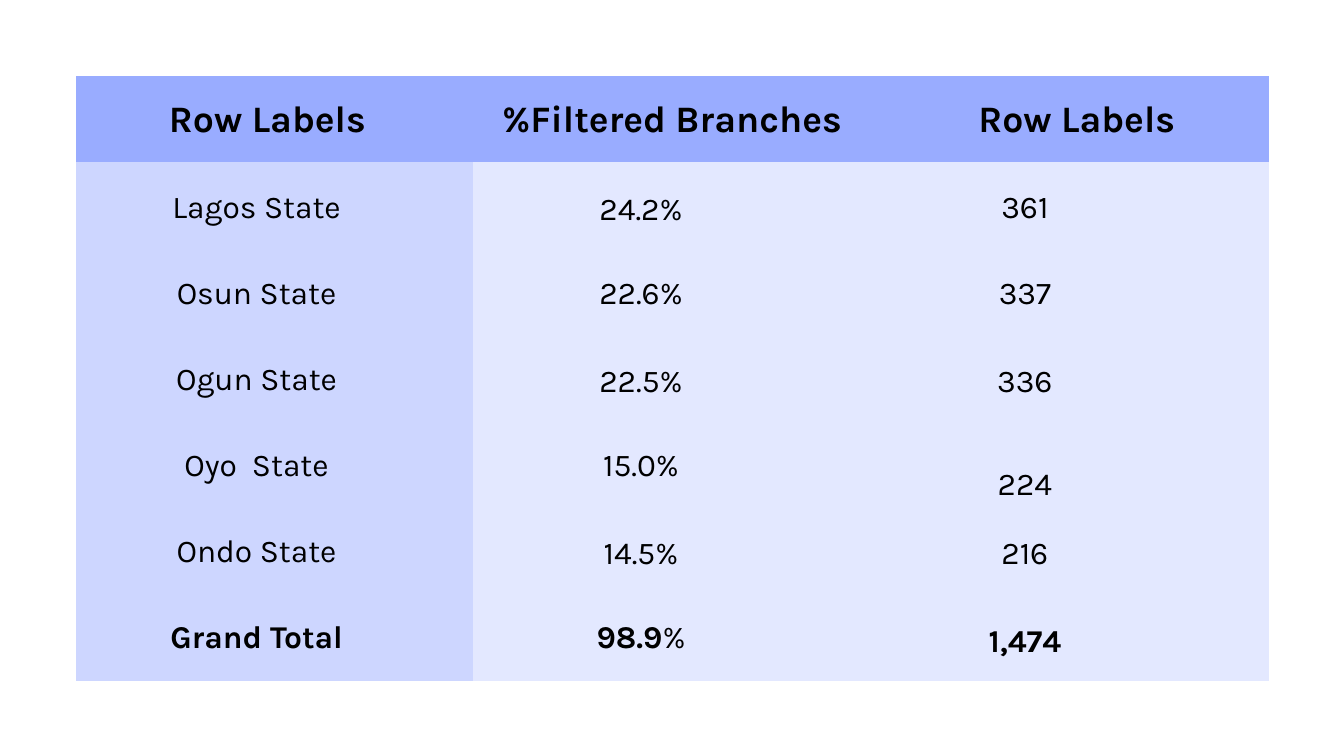
import pptx
import pptx.dml.color
import pptx.enum.text
import pptx.oxml
import pptx.oxml.ns
import pptx.util
from pptx.util import Cm

FONT = "Karla"
HEADER_FILL, LABEL_FILL, VALUE_FILL = "99ACFF", "CDD6FF", "E3E8FF"
TABLE_LEFT = TABLE_TOP = 2.86
COLUMN_WIDTH, ROW_HEIGHT = 15.03, 3.27
HEADER_TOP, HEADER_HEIGHT = 3.3, 1.88
BODY_TOP, BODY_STEP, BODY_WIDTH, BODY_HEIGHT = 6.83, 3.25, 12.4, 1.6

# Text, left and width in cm
HEADERS = [
    ("Row Labels", 3.5, 13.21),
    ("%Filtered Branches", 17.32, 16.15),
    ("Row Labels", 34.09, 13.21),
]
# Left in cm, texts, and how far each text sits below its row line in cm
BODY_COLUMNS = [
    (3.5, ["Lagos State", "Osun State", "Ogun State", "Oyo  State", "Ondo State", "Grand Total"],
     [0, 0, 0, 0, 0, 0]),
    (18.03, ["24.2%", "22.6%", "22.5%", "15.0%", "14.5%", "98.9%"],
     [0.05, 0, 0.05, 0, 0.05, 0]),
    (32.54, ["361", "337", "336", "224", "216", "1,474"],
     [0, 0, 0.05, 0.71, 0.05, 0.13]),
]


def color(value):
    return pptx.dml.color.RGBColor.from_string(value)


def clear_borders(cell):
    properties = cell._tc.get_or_add_tcPr()
    for side in ("lnL", "lnR", "lnT", "lnB"):
        properties.append(pptx.oxml.parse_xml(
            f'<a:{side} {pptx.oxml.ns.nsdecls("a")} w="0"><a:noFill/></a:{side}>'))


def cell_fill(row, column):
    if row == 0:
        return HEADER_FILL
    return LABEL_FILL if column == 0 else VALUE_FILL


def add_table_grid(slide, row_count, column_count):
    """Add the coloured cells that lie behind the texts."""
    table = slide.shapes.add_table(
        row_count, column_count, Cm(TABLE_LEFT), Cm(TABLE_TOP),
        Cm(COLUMN_WIDTH * column_count), Cm(ROW_HEIGHT * row_count)).table
    for column in table.columns:
        column.width = Cm(COLUMN_WIDTH)
    for row_index, row in enumerate(table.rows):
        row.height = Cm(ROW_HEIGHT)
        for column_index, cell in enumerate(row.cells):
            clear_borders(cell)
            cell.fill.solid()
            cell.fill.fore_color.rgb = color(cell_fill(row_index, column_index))


def add_label(slide, text, left, top, width, height, size, bold=False):
    """Add a centred line of text; in a bold one, a closing percent sign stays regular."""
    frame = slide.shapes.add_textbox(Cm(left), Cm(top), Cm(width), Cm(height)).text_frame
    frame.margin_left = frame.margin_top = frame.margin_right = frame.margin_bottom = 0
    frame.word_wrap = True
    frame.auto_size = pptx.enum.text.MSO_AUTO_SIZE.SHAPE_TO_FIT_TEXT
    paragraph = frame.paragraphs[0]
    paragraph.alignment = pptx.enum.text.PP_ALIGN.CENTER
    paragraph.line_spacing = pptx.util.Pt(size * 1.4)
    paragraph.font.name = FONT
    paragraph.font.size = pptx.util.Pt(size)
    paragraph.font.color.rgb = color("000000")
    if bold and text.endswith("%"):
        for part, part_bold in ((text[:-1], True), ("%", False)):
            run = paragraph.add_run()
            run.text = part
            run.font.bold = part_bold
    else:
        paragraph.add_run().text = text
        paragraph.font.bold = bold


def main():
    presentation = pptx.Presentation()
    presentation.slide_width, presentation.slide_height = Cm(50.8), Cm(28.575)
    slide = presentation.slides.add_slide(presentation.slide_layouts[6])

    total_row = len(BODY_COLUMNS[0][1]) - 1
    add_table_grid(slide, total_row + 2, len(HEADERS))
    for text, left, width in HEADERS:
        add_label(slide, text, left, HEADER_TOP, width, HEADER_HEIGHT, 40, bold=True)
    for left, texts, offsets in BODY_COLUMNS:
        for row, (text, offset) in enumerate(zip(texts, offsets)):
            top = BODY_TOP + BODY_STEP * row + offset
            add_label(slide, text, left, top, BODY_WIDTH, BODY_HEIGHT, 34, bold=row == total_row)

    presentation.save("out.pptx")


if __name__ == "__main__":
    main()
